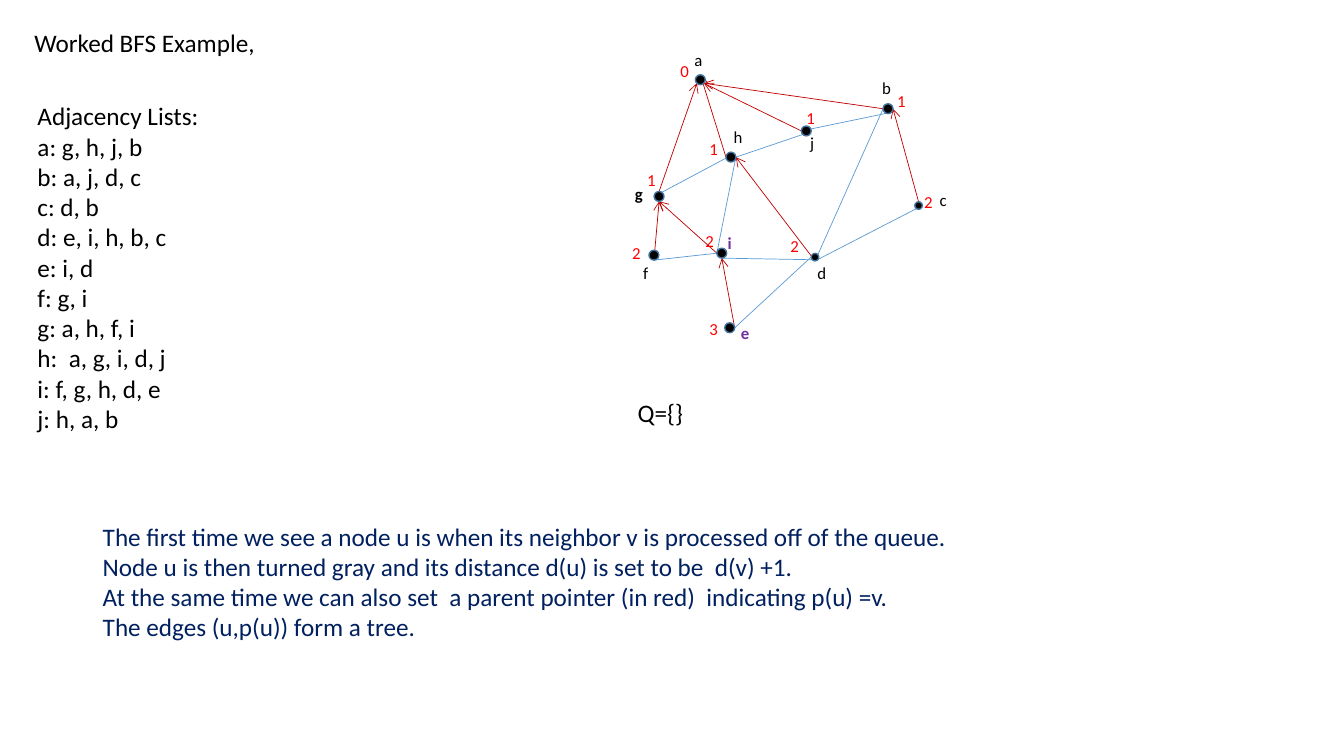
import math
from dataclasses import dataclass

from lxml import etree
from pptx import Presentation
from pptx import util as u
from pptx.dml.color import RGBColor
from pptx.enum import shapes, text
from pptx.oxml.ns import qn


@dataclass(frozen=True)
class Theme:
    font: str = "Calibri"
    body_size: float = 18
    label_size: float = 12
    edge_width: float = 0.5
    dot_width: float = 1
    ink: str = "000000"
    paper: str = "FFFFFF"
    note: str = "002060"
    distance: str = "FF0000"
    accent: str = "7030A0"
    edge: str = "5B9BD5"
    tree: str = "C00000"
    dot_line: str = "43739E"


@dataclass(frozen=True)
class Node:
    name: str
    center: tuple
    label_at: tuple
    distance: int
    distance_at: tuple
    size: float = 0.25
    color: str = Theme.ink
    bold: bool = False

    def site(self, side):
        angle = math.radians(ANGLES[side])
        x, y = self.center
        radius = self.size / 2
        return x + radius * math.cos(angle), y + radius * math.sin(angle)


class SlideBuilder:
    def __init__(self, page, theme):
        self.page = page
        self.theme = theme

    def set_words(self, box, lines, size, color, bold=False):
        frame = box.text_frame
        frame.text = "\n".join(lines)
        frame.auto_size = text.MSO_AUTO_SIZE.NONE
        frame.vertical_anchor = text.MSO_ANCHOR.TOP
        frame.word_wrap = True
        for para in frame.paragraphs:
            para.alignment = text.PP_ALIGN.LEFT
            para.space_before = u.Pt(0)
            para.line_spacing = 1.0
            for span in para.runs:
                span.font.name = self.theme.font
                span.font.size = u.Pt(size)
                span.font.bold = bold
                span.font.color.rgb = RGBColor.from_string(color)

    def placeholder(self, index, lines, bounds):
        box = self.page.placeholders[index]
        box.left, box.top, box.width, box.height = map(u.Cm, bounds)
        self.set_words(box, lines, self.theme.body_size, self.theme.ink)
        for para in box.text_frame.paragraphs:
            settings = para._p.get_or_add_pPr()
            settings.set("marL", "0")
            settings.set("indent", "0")
            etree.SubElement(settings, qn("a:buNone"))

    def textbox(self, lines, bounds, color):
        box = self.page.shapes.add_textbox(*map(u.Cm, bounds))
        self.set_words(box, lines, self.theme.body_size, color)

    def mark(self, words, at, color, bold=False, fill=None):
        bounds = [u.Cm(length) for length in (*at, 0.46, 0.76)]
        if fill:
            box = self.page.shapes.add_shape(shapes.MSO_SHAPE.RECTANGLE, *bounds)
            box.shadow.inherit = False
            box.fill.solid()
            box.fill.fore_color.rgb = RGBColor.from_string(fill)
            box.line.fill.background()
        else:
            box = self.page.shapes.add_textbox(*bounds)
        self.set_words(box, [words], self.theme.label_size, color, bold)
        frame = box.text_frame
        frame.word_wrap = False
        frame.margin_left, frame.margin_right = u.Cm(0.18), u.Cm(0)

    def dot(self, node):
        x, y = node.center
        bounds = (x - node.size / 2, y - node.size / 2, node.size, node.size)
        box = self.page.shapes.add_shape(shapes.MSO_SHAPE.OVAL, *map(u.Cm, bounds))
        box.shadow.inherit = False
        box.fill.solid()
        box.fill.fore_color.rgb = RGBColor.from_string(self.theme.ink)
        box.line.color.rgb = RGBColor.from_string(self.theme.dot_line)
        box.line.width = u.Pt(self.theme.dot_width)

    def edge(self, start, end, color, arrow=False):
        line = self.page.shapes.add_connector(
            shapes.MSO_CONNECTOR.STRAIGHT, *map(u.Cm, (*start, *end)))
        line.line.color.rgb = RGBColor.from_string(color)
        line.line.width = u.Pt(self.theme.edge_width)
        properties = line._element.spPr
        if arrow:
            etree.SubElement(properties.find(qn("a:ln")), qn("a:tailEnd"), type="arrow")
        etree.SubElement(properties, qn("a:effectLst"))


ANGLES = {"right": 0, "bottom right": 45, "bottom": 90, "bottom left": 135,
          "left": 180, "top": 270, "top right": 315}

NODES = {node.name: node for node in (
    Node("a", (17.65, 2.01), (17.32, 1.12), 0, (16.97, 1.4)),
    Node("b", (22.38, 2.74), (22.05, 1.83), 1, (22.43, 2.16)),
    Node("c", (23.15, 5.18), (23.5, 4.65), 2, (23.11, 4.7), size=0.19),
    Node("d", (20.54, 6.48), (20.42, 6.5), 2, (19.74, 5.82), size=0.19),
    Node("e", (18.39, 8.26), (18.49, 8), 3, (17.7, 7.9), color=Theme.accent, bold=True),
    Node("f", (16.48, 6.43), (16.03, 6.5), 2, (15.75, 5.99)),
    Node("g", (16.61, 4.95), (15.82, 4.5), 1, (16.13, 4.14), bold=True),
    Node("h", (18.42, 3.96), (18.31, 3.07), 1, (17.7, 3.38)),
    Node("i", (18.19, 6.38), (18.16, 5.74), 2, (17.6, 5.69), color=Theme.accent, bold=True),
    Node("j", (20.32, 3.3), (20.24, 3.23), 1, (20.14, 2.59)),
)}

PLAIN_EDGES = (
    ("b", "left", "d", "bottom"),
    ("i", "bottom", "d", "bottom right"),
    ("f", "bottom", "i", "left"),
    ("j", "left", "b", "bottom right"),
    ("g", "left", "h", "top right"),
    ("d", "bottom", "c", "right"),
    ("h", "right", "j", "bottom left"),
    ("i", "left", "h", "right"),
    ("e", "right", "d", "top"),
)

PARENT_EDGES = (
    ("c", "top", "b", "right"),
    ("d", "bottom", "h", "right"),
    ("f", "bottom", "g", "bottom"),
    ("h", "left", "a", "top"),
    ("g", "top", "a", "bottom left"),
    ("b", "left", "a", "bottom right"),
    ("j", "left", "a", "bottom right"),
    ("i", "left", "g", "bottom"),
    ("e", "right", "i", "bottom"),
)

ADJACENCY = (
    "Adjacency Lists:", "a: g, h, j, b", "b: a, j, d, c", "c: d, b",
    "d: e, i, h, b, c", "e: i, d", "f: g, i", "g: a, h, f, i",
    "h:  a, g, i, d, j", "i: f, g, h, d, e", "j: h, a, b",
)

EXPLANATION = (
    "The first time we see a node u is when its neighbor v is processed off of the queue.",
    "Node u is then turned gray and its distance d(u) is set to be  d(v) +1.",
    "At the same time we can also set  a parent pointer (in red)  indicating p(u) =v.",
    "The edges (u,p(u)) form a tree.",
)

deck = Presentation()
deck.slide_width, deck.slide_height = u.Cm(33.87), u.Cm(19.05)
theme = Theme()
builder = SlideBuilder(deck.slides.add_slide(deck.slide_layouts[1]), theme)

builder.placeholder(0, ["Worked BFS Example,"], (0.61, 0.56, 12.6, 1.8))
builder.placeholder(1, ADJACENCY, (0.69, 2.41, 6.22, 8.71))
for node in NODES.values():
    builder.mark(node.name, node.label_at, node.color, node.bold, theme.paper)
for edges, color, arrow in ((PLAIN_EDGES, theme.edge, False), (PARENT_EDGES, theme.tree, True)):
    for start, start_side, end, end_side in edges:
        builder.edge(NODES[start].site(start_side), NODES[end].site(end_side), color, arrow)
for node in NODES.values():
    builder.dot(node)
    builder.mark(str(node.distance), node.distance_at, theme.distance)
builder.textbox(["Q={}"], (15.82, 9.88, 12.95, 1.02), theme.ink)
builder.textbox(EXPLANATION, (2.34, 13, 30, 3.33), theme.note)

deck.save("out.pptx")
